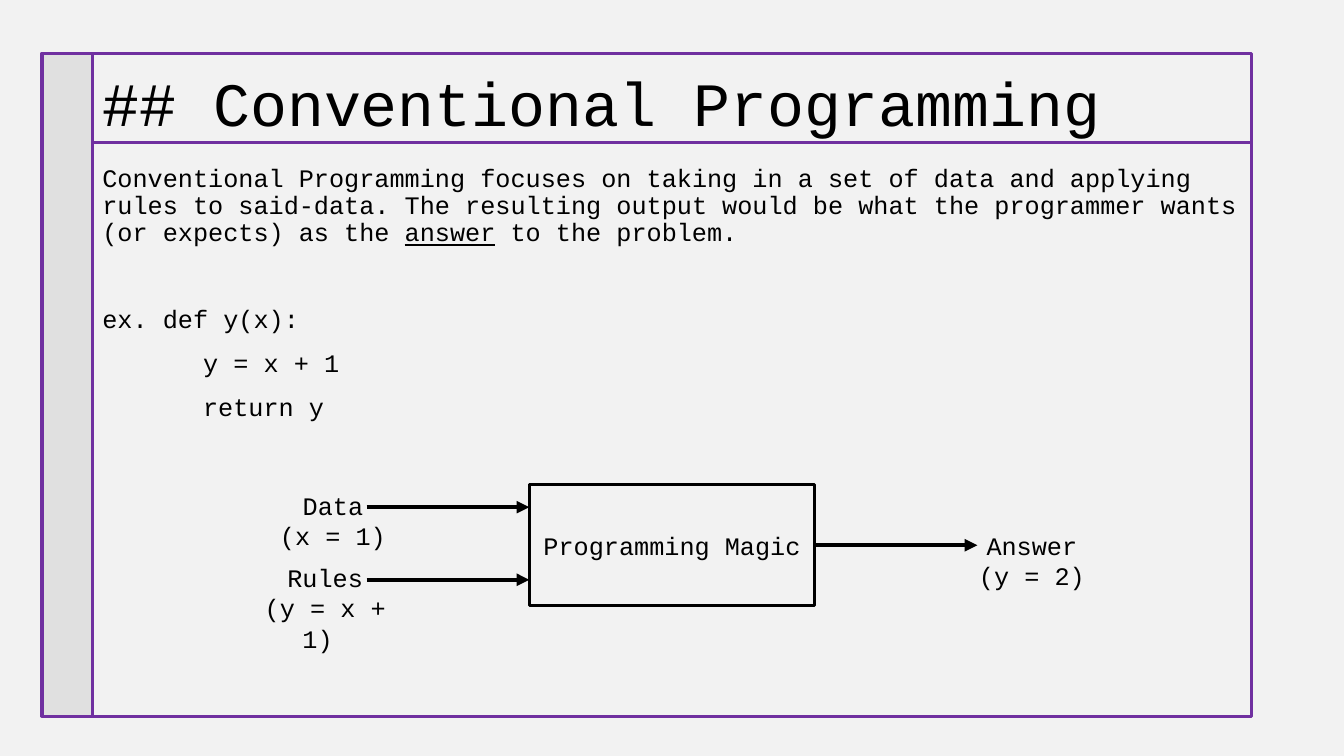
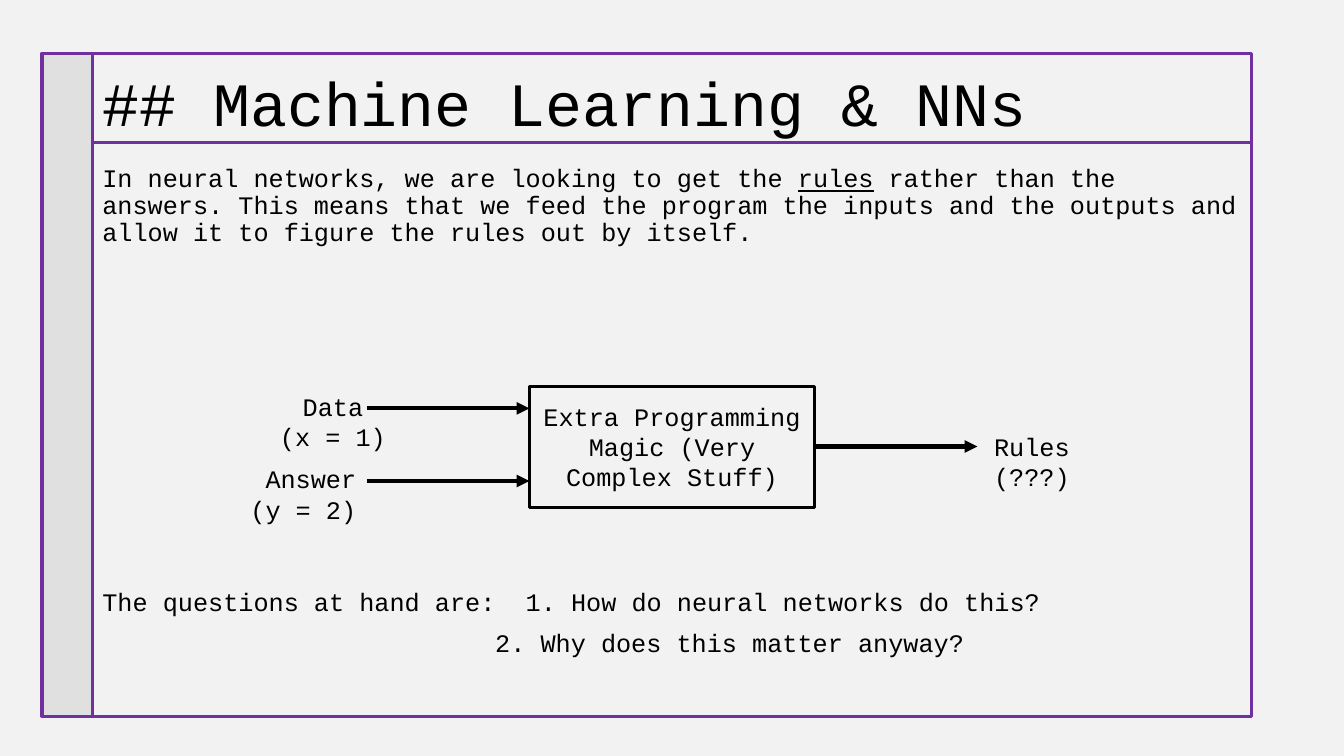
from lxml.etree import SubElement
from pptx import Presentation
from pptx.dml.color import RGBColor
from pptx.enum.shapes import MSO_CONNECTOR as Connector, MSO_SHAPE as Shape
from pptx.enum.text import MSO_ANCHOR as Anchor, PP_ALIGN as Align
from pptx.oxml.ns import qn
from pptx.util import Cm, Pt

FONT = "Courier New"
BLACK, PURPLE, PAPER, GREY = "000000", "7030A0", "F2F2F2", "E0E0E0"
LEFT, TOP, WIDTH, HEIGHT = 2.33, 1.34, 29.21, 16.71
SIDE_WIDTH = 1.27
RULE_Y = 3.59
BOX_LEFT, BOX_WIDTH, BOX_HEIGHT = 13.34, 7.19, 3.05
ARROW_LENGTH = 4.1


def color(value):
    return RGBColor.from_string(value)


def write(frame, text, size=18, align=Align.LEFT, line=1.0, before=0, indent=0, more=False):
    para = frame.add_paragraph() if more else frame.paragraphs[0]
    para.alignment = align
    para.line_spacing = line
    para.space_before = Pt(before)
    if indent:
        para._p.get_or_add_pPr().set("marL", str(Cm(indent)))
    for index, piece in enumerate(text.split("_")):
        span = para.add_run()
        span.text = piece
        span.font.name = FONT
        span.font.size = Pt(size)
        span.font.color.rgb = color(BLACK)
        if index % 2:
            span.font.underline = True


class Deck:
    def __init__(self):
        self.deck = Presentation()
        self.deck.slide_width, self.deck.slide_height = Cm(33.87), Cm(19.05)
        fill = self.deck.slide_master.background.fill
        fill.solid()
        fill.fore_color.rgb = color(PAPER)
        self.page = None

    def add_page(self, title):
        self.page = self.deck.slides.add_slide(self.deck.slide_layouts[6])
        heading = self.text_box(LEFT, 0.84, WIDTH, 3.68)
        heading.vertical_anchor = Anchor.MIDDLE
        write(heading, title, size=44, line=0.9)
        self.rectangle(LEFT, TOP, WIDTH, HEIGHT, PURPLE)
        self.rectangle(LEFT - SIDE_WIDTH, TOP, SIDE_WIDTH, HEIGHT, PURPLE, GREY)
        self.line(LEFT, RULE_Y, WIDTH, PURPLE, 1.5)

    def text_box(self, left, top, width, height):
        frame = self.page.shapes.add_textbox(Cm(left), Cm(top), Cm(width), Cm(height)).text_frame
        frame.word_wrap = True
        return frame

    def rectangle(self, left, top, width, height, outline, fill=None):
        box = self.page.shapes.add_shape(Shape.RECTANGLE, Cm(left), Cm(top), Cm(width), Cm(height))
        box.shadow.inherit = False
        box.line.color.rgb = color(outline)
        box.line.width = Pt(2.25)
        if fill:
            box.fill.solid()
            box.fill.fore_color.rgb = color(fill)
        else:
            box.fill.background()
        return box

    def line(self, left, y, length, stroke, weight, arrow=False):
        line = self.page.shapes.add_connector(
            Connector.STRAIGHT, Cm(left), Cm(y), Cm(left + length), Cm(y))
        line.line.color.rgb = color(stroke)
        line.line.width = Pt(weight)
        if arrow:
            SubElement(line.line._get_or_add_ln(), qn("a:tailEnd"), type="triangle")
        SubElement(line._element.spPr, qn("a:effectLst"))

    def body(self, *paragraphs):
        frame = self.text_box(LEFT, 4.04, WIDTH, 13.97)
        for index, (text, style) in enumerate(paragraphs):
            write(frame, text, more=index > 0, **style)

    def label(self, left, top, width, lines):
        frame = self.text_box(left, top, width, 1.8)
        for index, text in enumerate(lines):
            write(frame, text, align=Align.CENTER, more=index > 0)

    def diagram(self, top, process, first, second, result, second_left):
        box = self.rectangle(BOX_LEFT, top, BOX_WIDTH, BOX_HEIGHT, BLACK)
        box.text_frame.word_wrap = True
        box.text_frame.vertical_anchor = Anchor.MIDDLE
        write(box.text_frame, process, align=Align.CENTER)
        arrow_in, arrow_out = BOX_LEFT - ARROW_LENGTH, BOX_LEFT + BOX_WIDTH
        for left, drop in ((arrow_in, 0.56), (arrow_in, 2.39), (arrow_out, 1.52)):
            self.line(left, top + drop, ARROW_LENGTH, BLACK, 3, arrow=True)
        self.label(6.27, top, 4.24, first)
        self.label(second_left, top + 1.83, 4.65, second)
        self.label(24, top + 1.02, 4.01, result)

    def save(self):
        self.deck.save("out.pptx")


def main():
    deck = Deck()
    deck.add_page("## Conventional Programming")
    deck.body(
        ("Conventional Programming focuses on taking in a set of data and applying rules to "
         "said-data. The resulting output would be what the programmer wants (or expects) as "
         "the _answer_ to the problem.", dict(line=0.9)),
        ("ex. def y(x):", dict(before=40)),
        ("y = x + 1", dict(before=10, indent=2.54)),
        ("return y", dict(before=10, indent=2.54)),
    )
    deck.diagram(12.22, "Programming Magic", ("Data", "(x = 1)"), ("Rules", "(y = x + 1) "),
                 ("Answer", "(y = 2)"), second_left=5.87)

    deck.add_page("## Machine Learning & NNs")
    deck.body(
        ("In neural networks, we are looking to get the _rules_ rather than the answers. This "
         "means that we feed the program the inputs and the outputs and allow it to figure the "
         "rules out by itself.", dict(line=0.9)),
        ("The questions at hand are:  1. How do neural networks do this?",
         dict(line=0.9, before=245)),
        ("2. Why does this matter anyway?", dict(line=0.9, before=10, indent=9.9)),
    )
    deck.diagram(9.73, "Extra Programming Magic (Very Complex Stuff)", ("Data", "(x = 1)"),
                 ("Answer", "(y = 2) "), ("Rules", "(???)"), second_left=5.51)
    deck.save()


if __name__ == "__main__":
    main()
